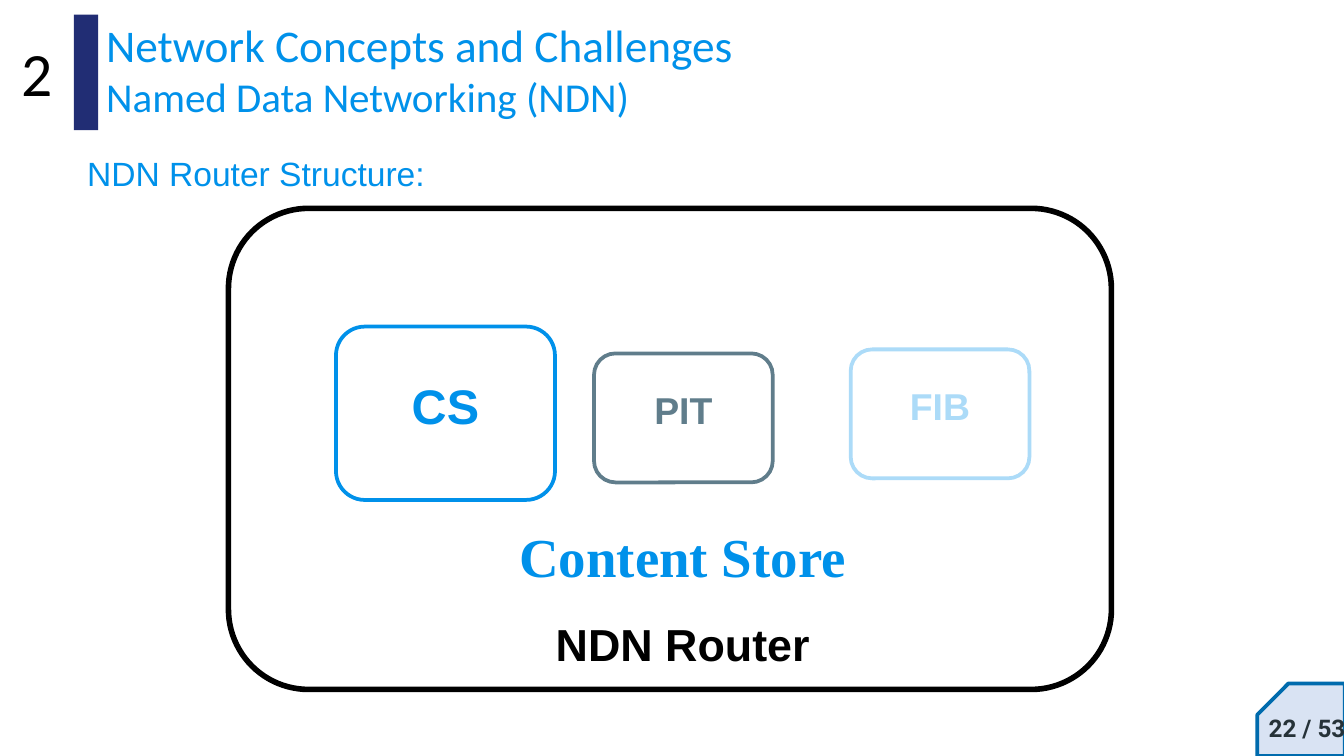
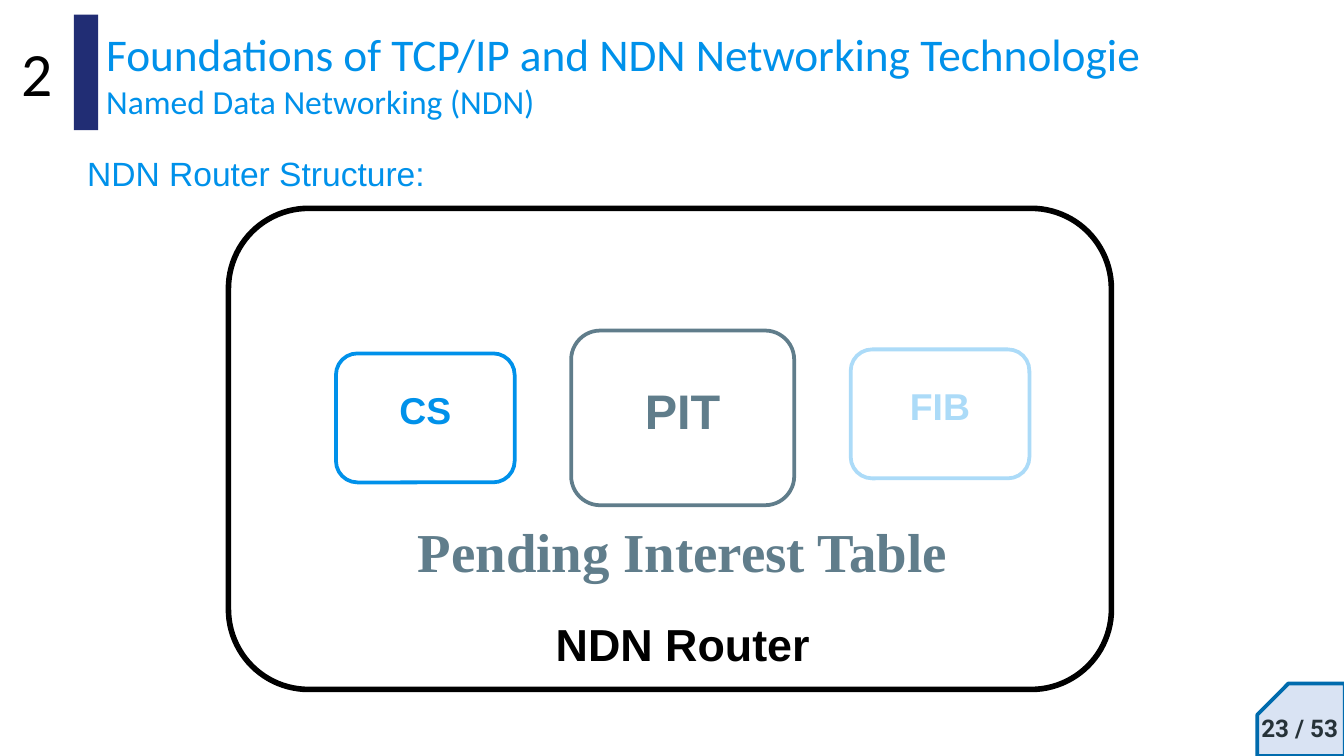
"""Build two slides on the structure of an NDN router."""
from dataclasses import dataclass
from typing import Any

from lxml.etree import SubElement
from pptx import Presentation
from pptx.dml.color import RGBColor
from pptx.enum.shapes import MSO_SHAPE as Shape
from pptx.enum.text import MSO_ANCHOR as Anchor, MSO_AUTO_SIZE as AutoSize, PP_ALIGN as Align
from pptx.oxml.ns import qn
from pptx.util import Inches, Pt

BLACK, BLUE, SLATE, PALE = "000000", "0091EA", "607D8B", "ACDBF8"
NAVY, BADGE_FILL, BADGE_LINE, BADGE_TEXT = "212D74", "D9E3F3", "006BAD", "263238"
SLIDE_WIDTH = Inches(10)
SLIDE_HEIGHT = SLIDE_WIDTH * 9 // 16
SECTION = "2"
PAGE_COUNT = 53
Box = tuple[float, float, float, float]


@dataclass(frozen=True)
class Style:
    font: str
    size: float
    color: str
    bold: bool = False
    align: Any = Align.CENTER


@dataclass(frozen=True)
class Label:
    text: str
    box: Box
    style: Style


@dataclass(frozen=True)
class Component:
    name: str
    box: Box
    color: str
    size: float = 20


@dataclass(frozen=True)
class RouterSlide:
    heading: str
    subtitle_size: float
    page: int
    page_box: Box
    components: tuple[Component, ...]
    caption: Label


ROUTER_LABELS = (
    Label(SECTION, (0, 0.21, 0.55, 0.66), Style("Calibri", 33, BLACK)),
    Label("NDN Router", (3.7, 4.54, 2.76, 0.5), Style("Arial", 24, BLACK, True)),
    Label("NDN Router Structure:", (0.55, 1.09, 3.33, 0.4),
          Style("Arial", 18, BLUE, align=Align.LEFT)),
)
PAGE_STYLE = Style("Roboto", 13, BADGE_TEXT, True)
HEADING_STYLE = Style("Calibri", 24.3, BLUE, align=Align.LEFT)
FIB = Component("FIB", (6.33, 2.6, 1.33, 0.96), PALE)

SLIDES = (
    RouterSlide(
        "Network Concepts and Challenges", 22, 22, (9.26, 5.21, 0.93, 0.42),
        (Component("PIT", (4.42, 2.63, 1.33, 0.96), SLATE), FIB,
         Component("CS", (2.5, 2.43, 1.63, 1.29), BLUE, 26)),
        Label("Content Store", (3.13, 3.84, 3.9, 0.59),
              Style("Times New Roman", 29.4, BLUE, True)),
    ),
    RouterSlide(
        "Foundations of TCP/IP and NDN Networking Technologie", 18, 23,
        (9.26, 5.21, 0.82, 0.42),
        (Component("PIT", (4.25, 2.46, 1.66, 1.3), SLATE, 26), FIB,
         Component("CS", (2.5, 2.63, 1.33, 0.96), BLUE)),
        Label("Pending Interest Table", (2.98, 3.8, 4.2, 0.59),
              Style("Times New Roman", 29.4, SLATE, True)),
    ),
)


def rgb(color: str) -> RGBColor:
    return RGBColor.from_string(color)


def inches(box: Box) -> list[Inches]:
    return [Inches(length) for length in box]


def apply(target: Any, values: dict[str, Any]) -> None:
    for name, value in values.items():
        setattr(target, name, value)


def write(paragraph: Any, text: str, style: Style) -> None:
    paragraph.alignment = style.align
    run = paragraph.add_run()
    run.text = text
    apply(run.font, {"name": style.font, "size": Pt(style.size), "bold": style.bold})
    run.font.color.rgb = rgb(style.color)


def break_line(paragraph: Any, size: float) -> None:
    paragraph.add_line_break()
    SubElement(paragraph._p[-1], qn("a:rPr"), sz=str(round(size * 100)))


def add_label(slide: Any, label: Label, inset: float = 0.05) -> None:
    frame = slide.shapes.add_textbox(*inches(label.box)).text_frame
    apply(frame, {"word_wrap": True, "margin_top": Inches(inset),
                  "margin_bottom": Inches(inset)})
    write(frame.paragraphs[0], label.text, label.style)


def add_figure(slide: Any, kind: Any, box: Box, fill: str = "",
               line: str = "", width: float = 2) -> Any:
    figure = slide.shapes.add_shape(kind, *inches(box))
    figure.shadow.inherit = False
    if fill:
        figure.fill.solid()
        figure.fill.fore_color.rgb = rgb(fill)
    else:
        figure.fill.background()
    if line:
        figure.line.color.rgb = rgb(line)
        figure.line.width = Pt(width)
    else:
        figure.line.fill.background()
    return figure


def add_component(slide: Any, part: Component) -> None:
    figure = add_figure(slide, Shape.FLOWCHART_ALTERNATE_PROCESS, part.box, line=part.color)
    frame = figure.text_frame
    apply(frame, {"vertical_anchor": Anchor.MIDDLE, "margin_top": 0,
                  "margin_bottom": Inches(0.12)})
    write(frame.paragraphs[0], part.name, Style("Arial", part.size, part.color, True))


def set_title(slide: Any, content: RouterSlide) -> None:
    title = slide.shapes.title
    apply(title, dict(zip(("left", "top", "width", "height"), inches((0.69, 0.1, 8.6, 1.3)))))
    frame = title.text_frame
    apply(frame, {"word_wrap": True, "auto_size": AutoSize.NONE,
                  "vertical_anchor": Anchor.BOTTOM, "margin_left": Inches(0.1),
                  "margin_right": Inches(0.1), "margin_top": Inches(0.1),
                  "margin_bottom": Inches(0.5)})
    paragraph = frame.paragraphs[0]
    write(paragraph, content.heading, HEADING_STYLE)
    break_line(paragraph, HEADING_STYLE.size)
    write(paragraph, "Named Data Networking (NDN)",
          Style("Calibri", content.subtitle_size, BLUE, align=Align.LEFT))


def add_badge(slide: Any, content: RouterSlide) -> None:
    badge = add_figure(slide, Shape.SNIP_1_RECTANGLE, (9.41, 5.03, 0.54, 0.65),
                       BADGE_FILL, BADGE_LINE)
    badge.rotation = 270
    badge.adjustments[0] = 0.43
    page = Label(f"{content.page} / {PAGE_COUNT}", content.page_box, PAGE_STYLE)
    add_label(slide, page, inset=0.1)


def build_slide(deck: Any, content: RouterSlide) -> None:
    slide = deck.slides.add_slide(deck.slide_layouts[5])
    set_title(slide, content)
    add_figure(slide, Shape.RECTANGLE, (0.55, 0.11, 0.18, 0.86), NAVY)
    add_badge(slide, content)
    add_figure(slide, Shape.FLOWCHART_ALTERNATE_PROCESS, (1.7, 1.55, 6.57, 3.58),
               line=BLACK, width=3)
    for part in content.components:
        add_component(slide, part)
    for label in (*ROUTER_LABELS, content.caption):
        add_label(slide, label)


def main() -> None:
    deck = Presentation()
    apply(deck, {"slide_width": SLIDE_WIDTH, "slide_height": SLIDE_HEIGHT})
    for content in SLIDES:
        build_slide(deck, content)
    deck.save("out.pptx")


if __name__ == "__main__":
    main()
